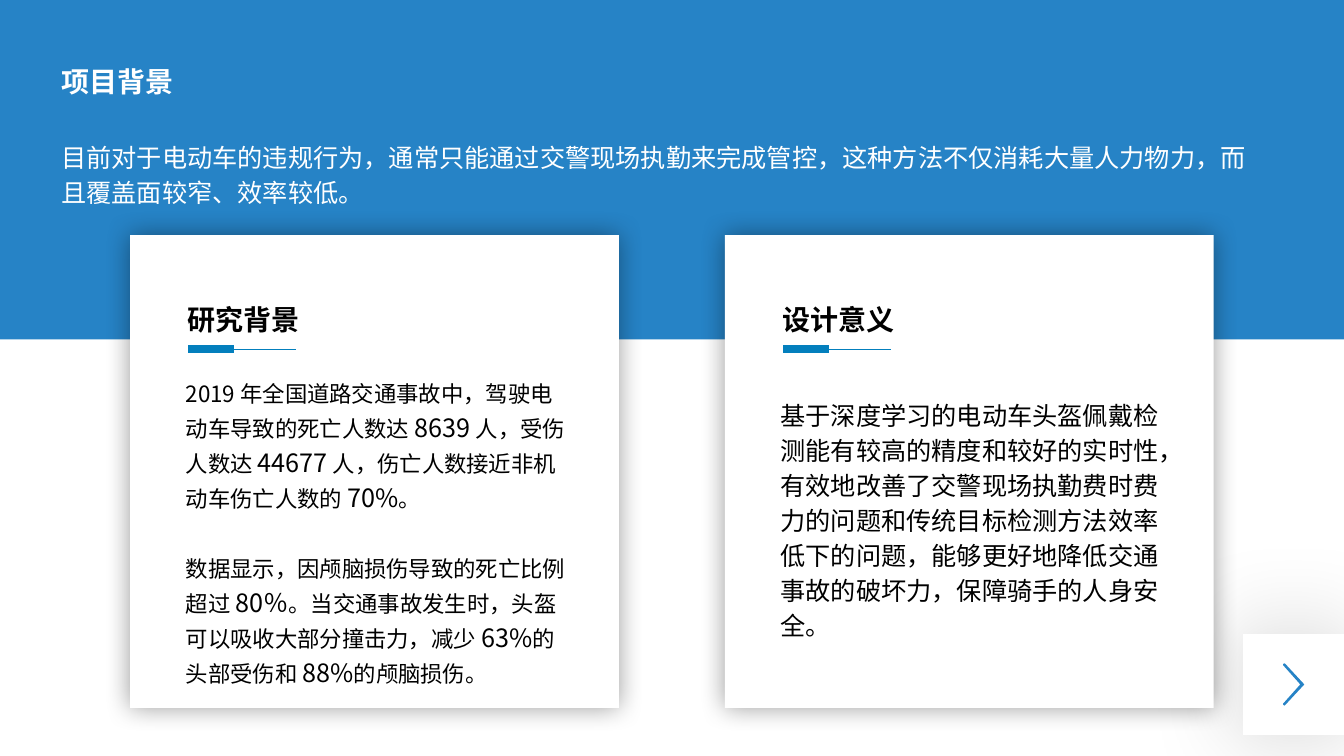
from typing import NamedTuple

from lxml.etree import SubElement as Sub
from pptx import Presentation as Deck
from pptx.dml.color import RGBColor as Rgb
from pptx.enum.shapes import MSO_CONNECTOR as Link, MSO_SHAPE as Kind
from pptx.enum.text import MSO_AUTO_SIZE as Fit
from pptx.oxml.ns import qn
from pptx.util import Emu, Pt

COLS, ROWS = 160, 90
FONT = "Noto Sans CJK SC"
BLUE, RULE, WHITE, BLACK = "2683C6", "037FBD", "FFFFFF", "000000"
LEAD = Pt(25)


class Area(NamedTuple):
    col: float
    row: float
    wide: float
    high: float


class Glow(NamedTuple):
    blur: int
    share: int


class Stroke(NamedTuple):
    start: float
    end: float
    width: float


class Card(NamedTuple):
    title: str
    drop: float
    high: float
    sizes: tuple[int, ...]
    text: tuple[tuple[str, ...], ...]


CARD_COL, CARD_ROW, CARD_STEP = 15.48, 28, 70.8
CARD_WIDE, CARD_HIGH = 58.2, 56.28
STROKES = (Stroke(6.96, 12.36, 6), Stroke(8.16, 19.8, 0.5))
CARDS = (
    Card("研究背景", 15.72, 39.12, (16, 18), (
        ("2019 年全国道路交通事故中，驾驶电动车导致的死亡人数达 ", "8639 ",
         "人，受伤人数达 ", "44677", " 人，伤亡人数接近非机动车伤亡人数的 ", "70%", "。"),
        ("数据显示，因颅脑损伤导致的死亡比例超过 ", "80％",
         "。当交通事故发生时，头盔可以吸收大部分撞击力，减少 ", "63%",
         "的头部受伤和 ", "88%", "的颅脑损伤。"),
    )),
    Card("设计意义", 18.48, 30.6, (18,), (
        ("基于深度学习的电动车头盔佩戴检测能有较高的精度和较好的实时性，"
         "有效地改善了交警现场执勤费时费力的问题和传统目标检测方法效率低下的问题，"
         "能够更好地降低交通事故的破坏力，保障骑手的人身安全。",),
    )),
)
INTRO = ("目前对于电动车的违规行为，通常只能通过交警现场执勤来完成管控，"
         "这种方法不仅消耗大量人力物力，而且覆盖面较窄、效率较低。")

deck = Deck()
deck.slide_width, deck.slide_height = Emu(12192000), Emu(6858000)
slide = deck.slides.add_slide(deck.slide_layouts[6])
shapes = slide.shapes


def tint(code: str) -> Rgb:
    return Rgb.from_string(code)


def across(col: float) -> Emu:
    return Emu(round(deck.slide_width * col / COLS))


def down(row: float) -> Emu:
    return Emu(round(deck.slide_height * row / ROWS))


def place(area: Area) -> tuple[Emu, Emu, Emu, Emu]:
    return across(area.col), down(area.row), across(area.wide), down(area.high)


def apply(item: object, form: dict) -> None:
    for name, value in form.items():
        setattr(item, name, value)


def paint(shape: object, code: str) -> None:
    shape.fill.solid()
    shape.fill.fore_color.rgb = tint(code)
    shape.line.fill.background()
    shape.shadow.inherit = False


def panel(area: Area, code: str, glow: Glow | None = None) -> None:
    shape = shapes.add_shape(Kind.RECTANGLE, *place(area))
    paint(shape, code)
    if glow:
        effects = shape._element.spPr.find(qn("a:effectLst"))
        shade = Sub(effects, qn("a:outerShdw"), blurRad=str(Pt(glow.blur)),
                    dist="0", dir="0", algn="ctr", rotWithShape="0")
        color = Sub(shade, qn("a:srgbClr"), val=BLACK)
        Sub(color, qn("a:alpha"), val=str(glow.share * 1000))


def write(area: Area, text: tuple[tuple[str, ...], ...], sizes: tuple[int, ...],
          code: str, bold: bool = False, lead: Pt | None = None) -> None:
    frame = shapes.add_textbox(*place(area)).text_frame
    apply(frame, {"word_wrap": True, "auto_size": Fit.SHAPE_TO_FIT_TEXT})
    for rank, parts in enumerate(text):
        para = frame.add_paragraph() if rank else frame.paragraphs[0]
        apply(para, {"line_spacing": lead, "space_before": lead if rank else Pt(0)})
        for turn, words in enumerate(parts):
            run = para.add_run()
            run.text = words
            size = sizes[turn % len(sizes)]
            apply(run.font, {"name": FONT, "size": Pt(size), "bold": bold})
            run.font.color.rgb = tint(code)
            Sub(run._r.get_or_add_rPr(), qn("a:ea"), typeface=FONT)


def head(col: float, row: float, words: str, code: str) -> None:
    write(Area(col, row, 39.48, 5.28), ((words,),), (20,), code, bold=True)


def rule(col: float, row: float, stroke: Stroke) -> None:
    line = shapes.add_connector(Link.STRAIGHT, across(col + stroke.start), down(row),
                                across(col + stroke.end), down(row))
    line.line.width = Pt(stroke.width)
    line.line.color.rgb = tint(RULE)
    Sub(line._element.spPr, qn("a:effectLst"))


def arrow(row: float) -> None:
    half = [(155.28, 0), (153, 2.46), (152.88, 2.52), (152.76, 2.4),
            (152.76, 2.28), (154.8, 0)]
    ring = half + [(col, -rise) for col, rise in half[-2:0:-1]]
    spots = [(across(col), down(row + rise)) for col, rise in ring]
    pen = shapes.build_freeform(*spots[0])
    pen.add_line_segments(spots[1:], close=True)
    paint(pen.convert_to_shape(), BLUE)


def show(card: Card, col: float) -> None:
    head(col + 5.64, CARD_ROW + 7.44, card.title, BLACK)
    for stroke in STROKES:
        rule(col, CARD_ROW + 13.56, stroke)
    write(Area(col + 5.46, CARD_ROW + card.drop, 47.88, card.high),
          card.text, card.sizes, BLACK, lead=LEAD)


def main() -> None:
    panel(Area(148, 75.48, 12, 12), WHITE, Glow(73, 20))
    arrow(81.48)
    panel(Area(0, 0, COLS, 40.4), BLUE)
    starts = [CARD_COL + CARD_STEP * rank for rank in range(len(CARDS))]
    for col in starts:
        panel(Area(col, CARD_ROW, CARD_WIDE, CARD_HIGH), WHITE, Glow(19, 40))
    write(Area(6.12, 15.84, 144.24, 9.6), ((INTRO,),), (18,), WHITE, lead=LEAD)
    head(6.12, 7.08, "项目背景", WHITE)
    for card, col in zip(CARDS, starts):
        show(card, col)
    deck.save("out.pptx")


if __name__ == "__main__":
    main()
